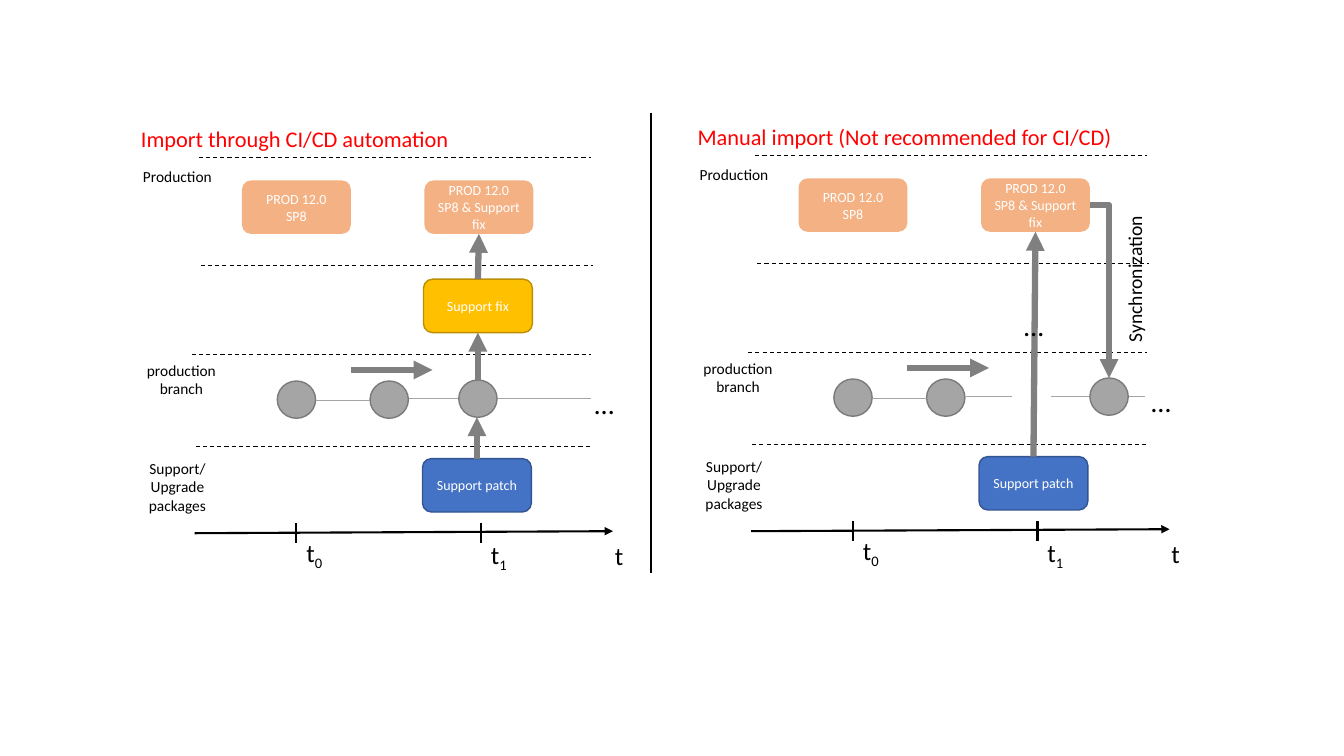
from collections import namedtuple

from lxml import etree
from pptx import Presentation, util as u
from pptx.dml.color import RGBColor
from pptx.enum import dml, shapes, text
from pptx.oxml import ns

COLORS = {
    "black": "000000", "white": "FFFFFF", "title": "FF0000",
    "arrow": "808080", "commit": "A5A5A5", "commit_edge": "7A7A7A",
    "production": "F4B183", "fix": "FFC000", "fix_edge": "BD8E00",
    "patch": "4472C4", "patch_edge": "325491",
}
GRID = 0.1
CARD = (10.8, 5.3)
COMMIT = (3.8, 3.7)
Box = namedtuple("Box", "left top")


def color(name):
    """Return the named colour."""
    return RGBColor.from_string(COLORS[name])


def place(box, column, row):
    """Turn a grid position within the box into slide lengths."""
    return u.Inches(box.left + column * GRID), u.Inches(box.top + row * GRID)


def extent(columns, rows):
    """Turn a size in grid steps into slide lengths."""
    return u.Inches(columns * GRID), u.Inches(rows * GRID)


def add_line(page, box, start, end, tint="black", width=1.5, arrow=False,
             dashed=False, kind=shapes.MSO_CONNECTOR.STRAIGHT):
    """Draw a connector between two grid positions."""
    line = page.shapes.add_connector(kind, *place(box, *start), *place(box, *end))
    line.line.color.rgb = color(tint)
    line.line.width = u.Pt(width)
    if dashed:
        line.line.dash_style = dml.MSO_LINE.DASH
    if arrow:
        etree.SubElement(line.line._get_or_add_ln(), ns.qn("a:tailEnd"), type="triangle")
    etree.SubElement(line._element.spPr, ns.qn("a:effectLst"))
    return line


def add_arrow(page, box, start, end, **options):
    """Draw a thick grey arrow."""
    return add_line(page, box, start, end, "arrow", 4.5, arrow=True, **options)


def write(shape, words, size, tint, centred, subscript=""):
    """Write one paragraph, with an optional subscript, into a shape."""
    frame = shape.text_frame
    frame.word_wrap = True
    frame.vertical_anchor = text.MSO_ANCHOR.MIDDLE
    para = frame.paragraphs[0]
    para.alignment = text.PP_ALIGN.CENTER if centred else text.PP_ALIGN.LEFT
    para.font.name = "Calibri"
    para.font.size = u.Pt(size)
    para.font.color.rgb = color(tint)
    para.add_run().text = words
    if subscript:
        span = para.add_run()
        span.text = subscript
        span._r.get_or_add_rPr().set("baseline", "-25000")


def add_label(page, box, at, size, words, points, tint="black", centred=False, subscript=""):
    """Place a text box on the grid."""
    label = page.shapes.add_textbox(*place(box, *at), *extent(*size))
    write(label, words, points, tint, centred, subscript)
    return label


def add_node(page, box, kind, at, size, fill, edge=None):
    """Place a filled shape on the grid."""
    node = page.shapes.add_shape(kind, *place(box, *at), *extent(*size))
    node.shadow.inherit = False
    node.fill.solid()
    node.fill.fore_color.rgb = color(fill)
    if edge:
        node.line.color.rgb = color(edge)
        node.line.width = u.Pt(1)
    else:
        node.line.fill.background()
    return node


def add_card(page, box, at, words, fill, edge=None):
    """Place a rounded card with its caption."""
    card = add_node(page, box, shapes.MSO_SHAPE.ROUNDED_RECTANGLE, at, CARD, fill, edge)
    write(card, words, 10, "white", True)
    return card


def add_commit(page, box, at):
    """Place a commit circle."""
    return add_node(page, box, shapes.MSO_SHAPE.FLOWCHART_CONNECTOR, at, COMMIT,
                    "commit", "commit_edge")


def add_branch(page, box, *spans):
    """Draw thin pieces of the branch line."""
    for first, last, row in spans:
        add_line(page, box, (first, row), (last, row), "commit", 0.5)


def draw_axis(page, box):
    """Draw the time axis with its ticks."""
    add_line(page, box, (6.3, 41), (47.8, 40.8), arrow=True)
    add_label(page, box, (47, 41.2), (3.2, 4), "t", 18)
    for index, (column, row) in enumerate([(16.4, 41.1), (34.7, 41.3)]):
        add_line(page, box, (column, 40), (column, 42))
        add_label(page, box, (column, row), (4.1, 4), "t", 18, subscript=str(index))


def draw_lanes(page, box, title):
    """Draw what both panels share and return the end cards."""
    for first, last, row in [(6.7, 45.6, 3.7), (6.9, 45.8, 14.4),
                             (6, 45.6, 23.3), (6.4, 45.6, 32.4)]:
        add_line(page, box, (first, row), (last, row), width=0.75, dashed=True)
    add_label(page, box, (0, 0), (45.2, 3.7), title, 16, "title")
    add_label(page, box, (0.2, 4.1), (9.6, 2.9), "Production", 11)
    add_label(page, box, (0.2, 23.4), (9.6, 4.7), "production branch", 11, centred=True)
    add_label(page, box, (0.2, 33.1), (8.8, 6.6), "Support/Upgrade packages", 11, centred=True)
    draw_axis(page, box)
    for column in (14.5, 23.7):
        add_commit(page, box, (column, 25.9))
    add_branch(page, box, (18.3, 23.7, 27.8))
    add_label(page, box, (45, 25.9), (3.8, 4.4), "…", 20)
    add_arrow(page, box, (21.8, 24.8), (29.9, 24.8))
    add_card(page, box, (11, 6), "PROD 12.0 SP8", "production")
    production = add_card(page, box, (29.1, 6), "PROD 12.0 SP8 & Support fix", "production")
    patch = add_card(page, box, (28.9, 33.6), "Support patch", "patch", "patch_edge")
    return production, patch


def draw_automation(page, box):
    """Draw the panel for the automated import."""
    production, patch = draw_lanes(page, box, "Import through CI/CD automation")
    add_branch(page, box, (27.6, 32.5, 27.6), (36, 45.6, 27.6))
    commit = add_commit(page, box, (32.5, 25.8))
    fix = add_card(page, box, (29, 15.8), "Support fix", "fix", "fix_edge")
    add_arrow(page, box, (34.3, 33.6), (34.3, 29.5)).begin_connect(patch, 0)
    for lower, upper in [(commit, fix), (fix, production)]:
        arrow = add_arrow(page, box, (34.4, 15.8), (34.4, 11.3))
        arrow.begin_connect(lower, 0)
        arrow.end_connect(upper, 2)


def draw_manual(page, box):
    """Draw the panel for the manual import."""
    production, patch = draw_lanes(page, box, "Manual import (Not recommended for CI/CD)")
    add_branch(page, box, (27.6, 32.2, 27.6), (36, 39.9, 27.6), (43.7, 45.4, 27.6))
    commit = add_commit(page, box, (39.9, 25.8))
    rise = add_arrow(page, box, (34.3, 33.6), (34.5, 11.3))
    rise.begin_connect(patch, 0)
    rise.end_connect(production, 2)
    sync = add_arrow(page, box, (39.9, 8.6), (41.8, 25.8), kind=shapes.MSO_CONNECTOR.ELBOW)
    sync._element.spPr.find(ns.qn("a:prstGeom")).set("prst", "bentConnector2")
    sync.begin_connect(production, 3)
    sync.end_connect(commit, 0)
    add_label(page, box, (32.4, 18.4), (3.8, 4.4), "…", 20)
    caption = add_label(page, box, (36.7, 14.3), (15.2, 3.4), "Synchronization", 14, centred=True)
    caption.rotation = 270


def main():
    """Build the slide and save it."""
    deck = Presentation()
    deck.slide_width, deck.slide_height = u.Inches(13.33), u.Inches(7.5)
    page = deck.slides.add_slide(deck.slide_layouts[6])
    draw_automation(page, Box(1.3, 1.19))
    draw_manual(page, Box(6.82, 1.17))
    add_line(page, Box(6.46, 1.12), (0, 45.6), (0, 0))
    deck.save("out.pptx")


if __name__ == "__main__":
    main()
